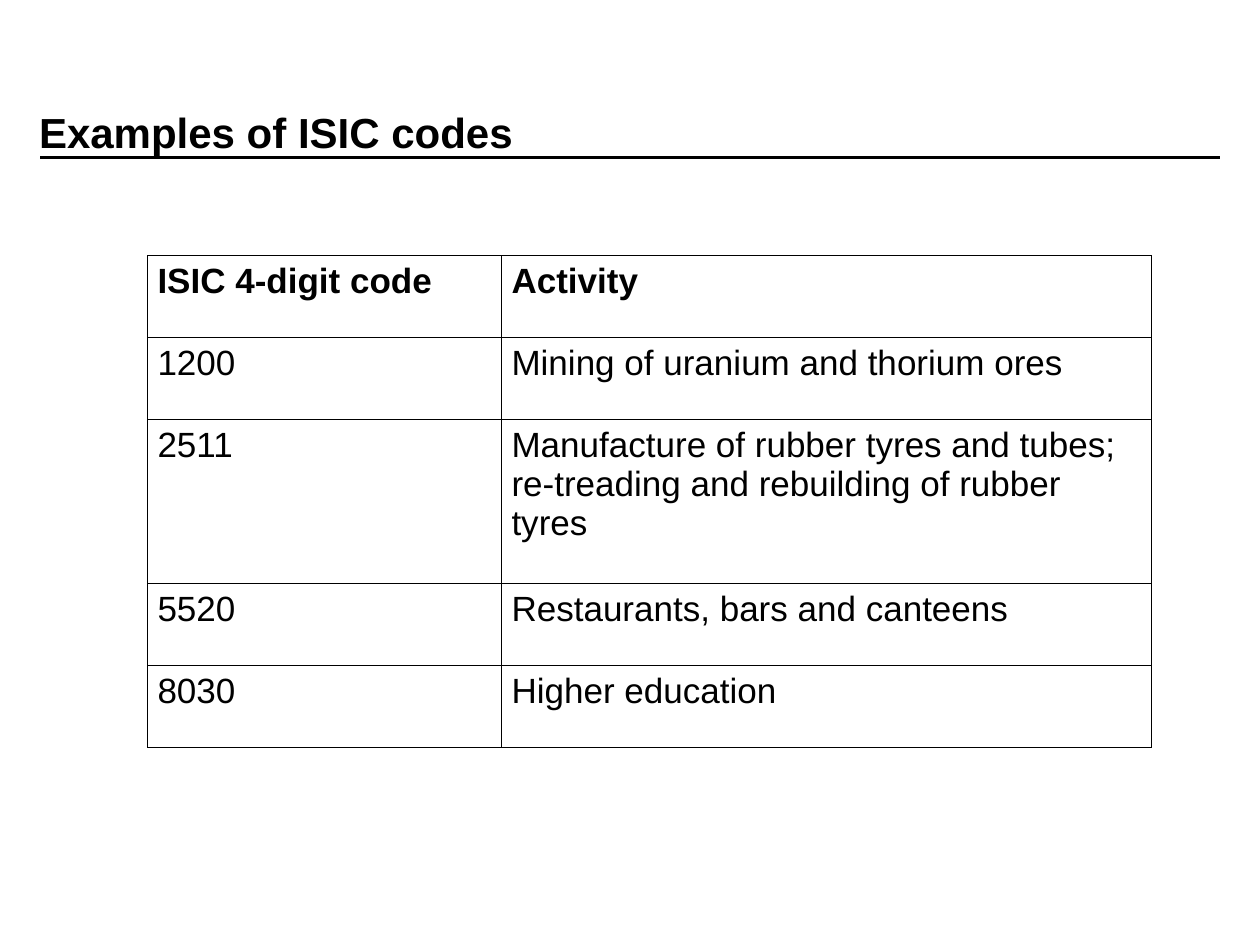
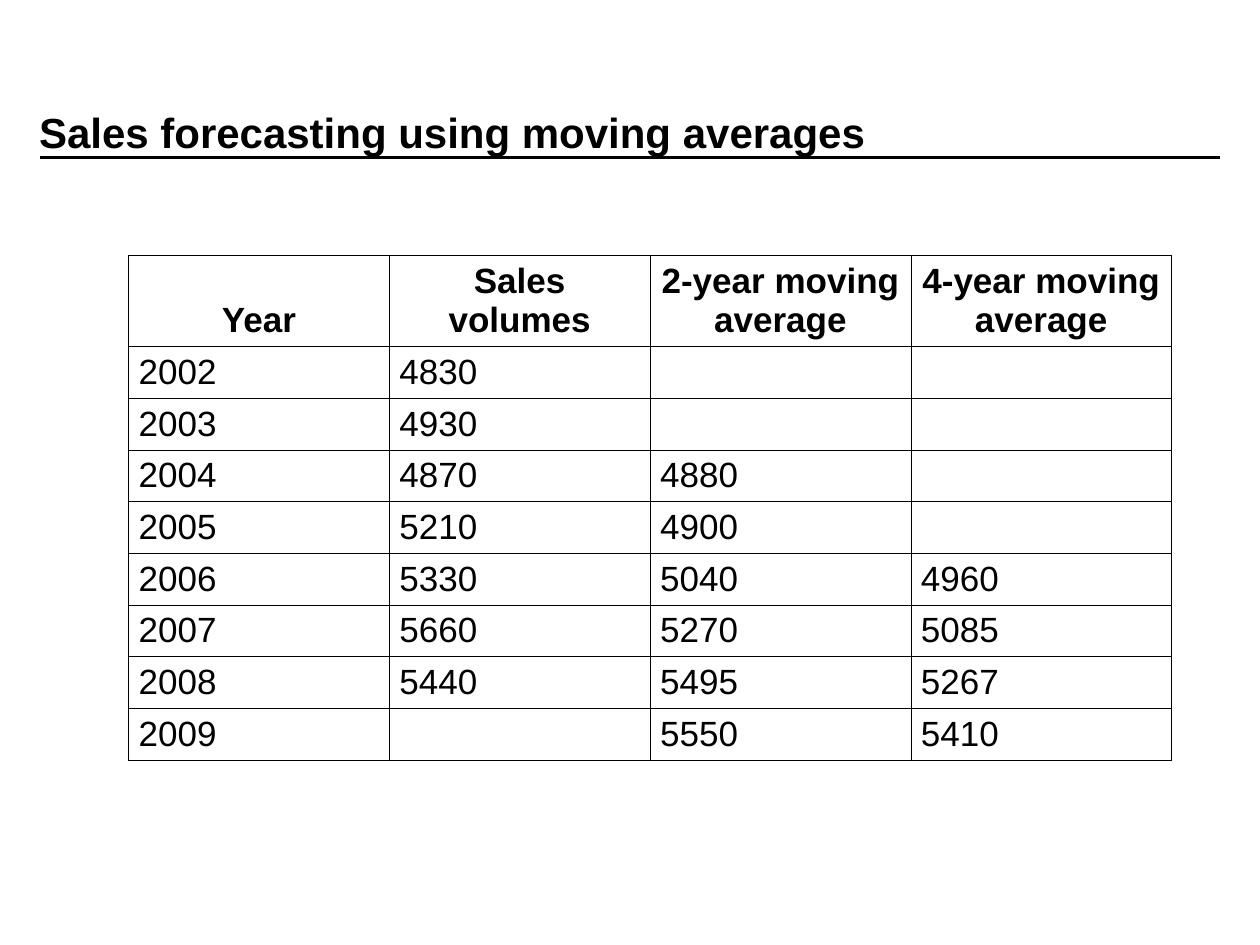
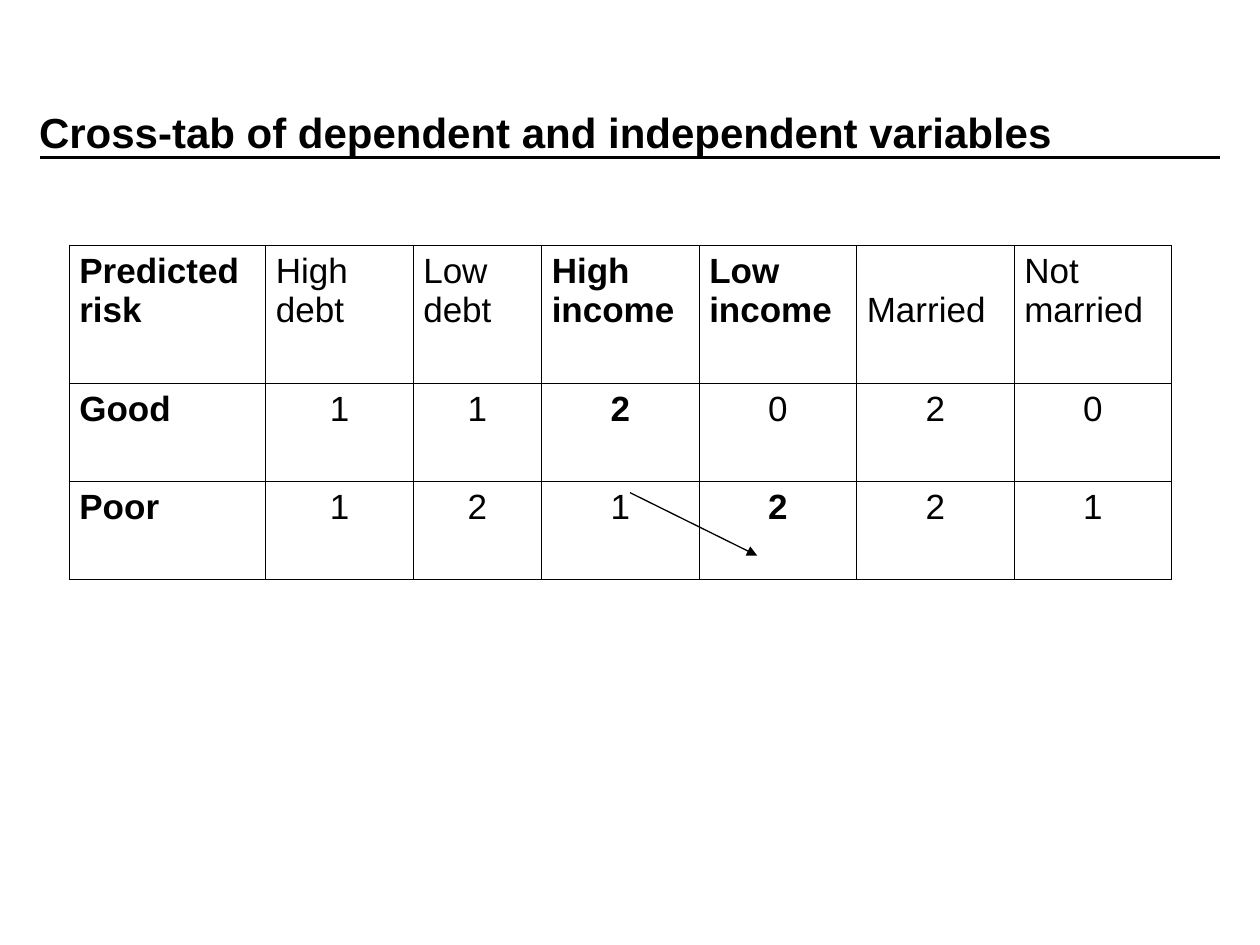
from itertools import product
from lxml.etree import SubElement
from pptx import Presentation
from pptx.dml.color import RGBColor
from pptx.enum.shapes import MSO_CONNECTOR
from pptx.enum.text import MSO_ANCHOR, PP_ALIGN
from pptx.oxml import parse_xml
from pptx.oxml.ns import nsdecls, qn
from pptx.util import Inches, Pt

BLACK = RGBColor(0, 0, 0)
FONT = "Arial"
TITLE_SIZE = Pt(24)
CELL_SIZE = Pt(20)
LINE_HEIGHT = 0.31
MARGIN_X, MARGIN_Y = 0.08, 0.05


def set_font(p, size, bold):
    p.font.name = FONT
    p.font.size = size
    p.font.bold = bold
    p.font.color.rgb = BLACK


def add_line(s, x1, y1, x2, y2, width):
    line = s.shapes.add_connector(
        MSO_CONNECTOR.STRAIGHT, Inches(x1), Inches(y1), Inches(x2), Inches(y2))
    line.line.color.rgb = BLACK
    line.line.width = Pt(width)
    SubElement(line._element.spPr, qn("a:effectLst"))
    return line


isic_rows = [
    ["ISIC 4-digit code", "Activity"],
    ["1200", "Mining of uranium and thorium ores"],
    ["2511", "Manufacture of rubber tyres and tubes; re-treading and rebuilding of rubber tyres"],
    ["5520", "Restaurants, bars and canteens"],
    ["8030", "Higher education"],
]
sales_rows = [
    ["Year", "Sales volumes", "2-year moving\naverage", "4-year moving\naverage"],
    ["2002", "4830", "", ""],
    ["2003", "4930", "", ""],
    ["2004", "4870", "4880", ""],
    ["2005", "5210", "4900", ""],
    ["2006", "5330", "5040", "4960"],
    ["2007", "5660", "5270", "5085"],
    ["2008", "5440", "5495", "5267"],
    ["2009", "", "5550", "5410"],
]
risk_rows = [
    ["Predicted risk", "High debt", "Low debt", "High income", "Low income", "Married", "Not married"],
    ["Good", "1", "1", "2", "0", "2", "0"],
    ["Poor", "1", "2", "1", "2", "2", "1"],
]
sales_header = set(product([0], range(4)))
risk_counts = set(product([1, 2], range(1, 7)))
risk_bold = {(0, 0), (1, 0), (2, 0), (0, 3), (0, 4), (1, 3), (2, 4)}

slides = [
    ("Examples of ISIC codes", 1.17, 2.03, [2.81, 5.16],
     [0.65, 0.65, 1.3, 0.65, 0.65], isic_rows, {(0, 0), (0, 1)}, set()),
    ("Sales forecasting using moving averages", 1.02, 2.03, [2.07] * 4,
     [0.7] + [0.35] * 8, sales_rows, sales_header, sales_header),
    ("Cross-tab of dependent and independent variables", 0.55, 1.95,
     [1.56, 1.17, 1.02] + [1.25] * 4, [1.09, 0.78, 0.78], risk_rows, risk_bold, risk_counts),
]

prs = Presentation()
prs.slide_width = Inches(10)
prs.slide_height = Inches(7.5)
tables = []

for title, left, top, widths, heights, rows, bold, centred in slides:
    s = prs.slides.add_slide(prs.slide_layouts[5])
    add_line(s, 0.32, 1.25, 9.68, 1.25, 2)

    sp = s.shapes.title
    sp.left, sp.top, sp.width, sp.height = Inches(0.21), Inches(0.42), Inches(8.5), Inches(1.25)
    tf = sp.text_frame
    tf.text = title
    tf.vertical_anchor = MSO_ANCHOR.MIDDLE
    p = tf.paragraphs[0]
    p.alignment = PP_ALIGN.LEFT
    set_font(p, TITLE_SIZE, True)

    table = s.shapes.add_table(
        len(rows), len(widths), Inches(left), Inches(top),
        Inches(sum(widths)), Inches(sum(heights))).table
    table.first_row = False
    table.horz_banding = False
    for column, width in zip(table.columns, widths):
        column.width = Inches(width)
    for row, height in zip(table.rows, heights):
        row.height = Inches(height)

    for r, c in product(range(len(rows)), range(len(widths))):
        cell = table.cell(r, c)
        cell.text = rows[r][c]
        cell.margin_left = cell.margin_right = Inches(MARGIN_X)
        cell.margin_top = cell.margin_bottom = Inches(MARGIN_Y)
        cell.fill.background()
        for p in cell.text_frame.paragraphs:
            p.alignment = PP_ALIGN.CENTER if (r, c) in centred else PP_ALIGN.LEFT
            set_font(p, CELL_SIZE, (r, c) in bold)
        tcPr = cell._tc.get_or_add_tcPr()
        for i, side in enumerate("LRTB"):
            tcPr.insert(i, parse_xml(
                f'<a:ln{side} {nsdecls("a")} w="{Pt(0.45)}"><a:solidFill>'
                f'<a:srgbClr val="{BLACK}"/></a:solidFill></a:ln{side}>'))
    tables.append(table)

isic, sales, risk = tables
sales.cell(0, 0).vertical_anchor = MSO_ANCHOR.BOTTOM
risk.cell(0, 5).margin_top = Inches(MARGIN_Y + LINE_HEIGHT)

arrow = add_line(s, 5, 3.91, 6.01, 4.41, 0.75)
SubElement(arrow.line._get_or_add_ln(), qn("a:tailEnd"), type="triangle")

prs.save("out.pptx")
